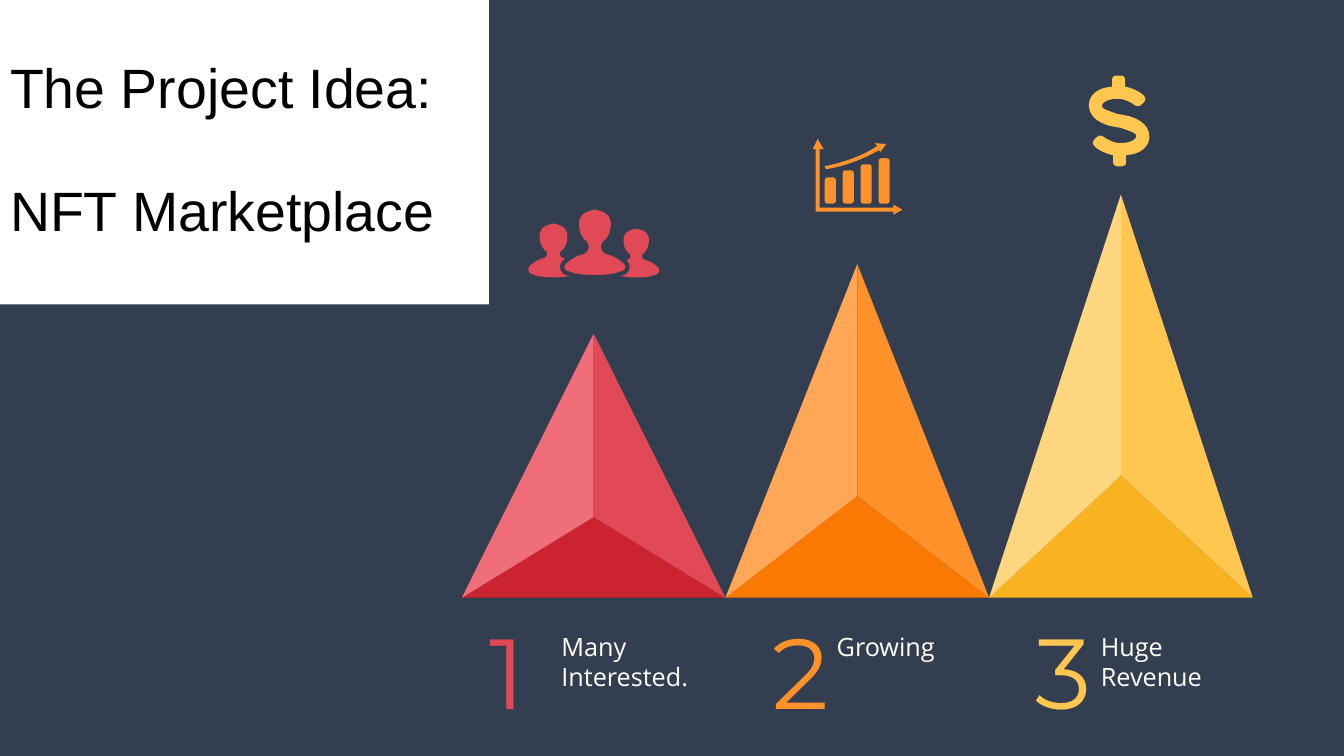
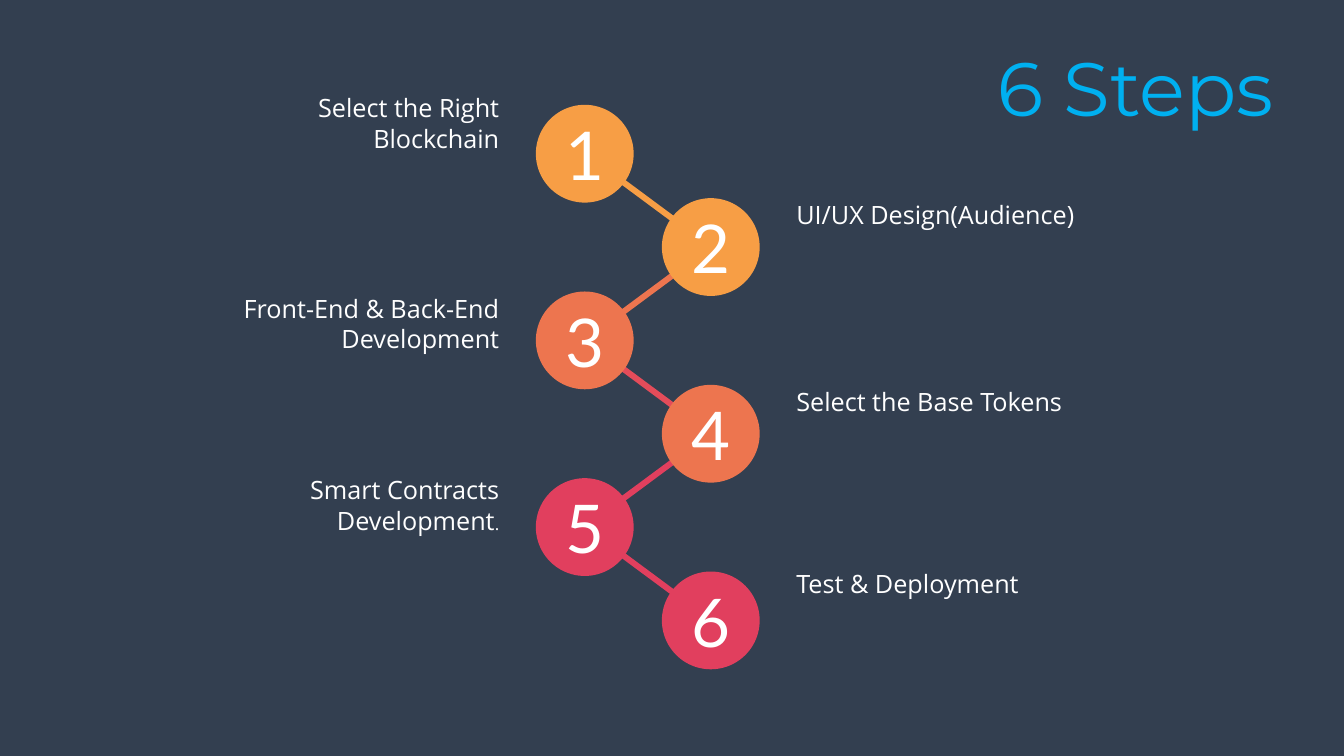
"""Build two slides: the marketplace idea and its six steps."""
from lxml.etree import SubElement
from pptx import Presentation
from pptx.dml.color import RGBColor
from pptx.enum.shapes import MSO_CONNECTOR as CONN, MSO_SHAPE as SHAPE
from pptx.enum.text import MSO_ANCHOR as ANCHOR, MSO_AUTO_SIZE as FIT, PP_ALIGN as ALIGN
from pptx.oxml.ns import qn
from pptx.util import Inches, Pt

COLORS = {
    "back": "333F50", "white": "FFFFFF", "black": "000000", "title": "00B0F0",
    "red": "E24956", "red_light": "F06E7A", "red_dark": "CC2331",
    "orange": "FF912B", "orange_light": "FFA757", "orange_dark": "FA7902",
    "yellow": "FFC74F", "yellow_light": "FFD680", "yellow_dark": "FAB320",
    "amber": "F79E45", "coral": "ED754F", "rose": "E44C5A", "pink": "E13F5E",
}
BODY, DISPLAY, DIGIT = "Open Sans", "Montserrat", "Lato"

PYRAMIDS = [
    ("red", "Many Interested.", 3.31, 5.13, 4.85, 5.47, 1.54),
    ("orange", "Growing", 2.62, 4.92, 7.66, 8.2, 1.33),
    ("yellow", "Huge Revenue", 1.93, 4.72, 10.27, 10.82, 1.33),
]
BASE_LEFT, BASE_Y, BASE_W = 4.58, 5.93, 2.615

STEPS = [
    ([("Select the Right Blockchain", 18)], 0.87, "amber"),
    ([("UI/UX Design(Audience)", 18)], 1.93, "amber"),
    ([("Front-End & Back-End Development", 18)], 2.86, "coral"),
    ([("Select the Base Tokens", 18)], 3.78, "coral"),
    ([("Smart Contracts Development", 18), (".", 12)], 4.66, "pink"),
    ([("Test & Deployment", 18)], 5.59, "pink"),
]
LINKS = ["amber", "coral", "rose", "pink", "pink"]
CIRCLE, STEP_Y, FIRST_Y, CENTERS_X = 0.97, 0.926, 1.525, (5.8, 7.05)

HALF_PERSON = [
    (0, 0), (2, 0, 4, 0, 5, 1), (13, 3, 17, 7, 18, 15), (18, 23, 16, 30, 10, 35),
    (7, 38, 8, 42, 12, 44), (14, 45, 17, 45, 18, 46), (23, 48, 27, 51, 30, 54),
    (33, 56, 34, 62, 28, 65), (26, 65, 24, 66, 22, 67), (16, 68, 9, 69, 0, 69),
]
PEOPLE = [(5.49, 2.22, 0.77), (6.31, 2.27, 0.7), (5.9, 2.06, 1)]
HALF_DOLLAR = [
    (30, 16), (30, 6, 23, -1, 9, -5), (-2, -7), (-13, -11, -17, -12, -17, -15),
    (-17, -18, -12, -22, -1, -22), (7, -22, 15, -16, 15, -16),
    (18, -14, 20, -14, 23, -17), (23, -17, 26, -19, 26, -22),
    (26, -26, 16, -32, 6, -34), (6, -41), (6, -43, 4, -45, 2, -45), (-3, -45),
    (-5, -45, -7, -43, -7, -41), (-7, -34), (-23, -33, -30, -24, -30, -16),
]
TREND = [
    (13, 30), (32, 27, 50, 20, 66, 11), (67, 13), (73, 5), (62, 4), (64, 7),
    (49, 17, 31, 23, 12, 27),
]
AXES = [
    (89, 70), (80, 65), (80, 68), (7, 68), (7, 10), (11, 10), (5, 0), (0, 10),
    (3, 10), (3, 72), (80, 72), (80, 75),
]
CHART_LEFT, CHART_TOP = 8.06, 1.38
BAR_TOPS, BAR_BOTTOM, BAR_W, BAR_STEP = (1.76, 1.69, 1.63, 1.57), 2.02, 0.11, 0.178


def rgb(name):
    return RGBColor.from_string(COLORS[name])


def trace(path, steps=8):
    points = [path[0]]
    for seg in path[1:]:
        if len(seg) == 2:
            points.append(seg)
            continue
        ctrl = [points[-1], seg[:2], seg[2:4], seg[4:]]
        for n in range(1, steps + 1):
            t = n / steps
            weights = ((1 - t) ** 3, 3 * t * (1 - t) ** 2, 3 * t * t * (1 - t), t ** 3)
            points.append(tuple(sum(w * c[k] for w, c in zip(weights, ctrl)) for k in (0, 1)))
    return points


def paint(sp, color):
    sp.shadow.inherit = False
    sp.fill.solid()
    sp.fill.fore_color.rgb = rgb(color)
    sp.line.fill.background()
    return sp


def polygon(s, points, color, left=0, top=0, scale=1):
    pts = [(Inches(left + x * scale), Inches(top + y * scale)) for x, y in points]
    builder = s.shapes.build_freeform(*pts[0], scale=1.0)
    builder.add_line_segments(pts[1:], close=True)
    return paint(builder.convert_to_shape(), color)


def style(p, font, color, align=ALIGN.LEFT):
    p.alignment = align
    for r in p.runs:
        r.font.name = font
        r.font.color.rgb = rgb(color)


def textbox(s, box, runs, font, color, align=ALIGN.LEFT, inset=True):
    tf = s.shapes.add_textbox(*map(Inches, box)).text_frame
    tf.word_wrap = True
    if not inset:
        tf.margin_left = tf.margin_right = tf.margin_top = tf.margin_bottom = 0
    p = tf.paragraphs[0]
    for text, size in runs:
        r = p.add_run()
        r.text = text
        r.font.size = Pt(size)
    style(p, font, color, align)


def add_slide(prs, title, box, font, size, color, align, anchor):
    s = prs.slides.add_slide(prs.slide_layouts[5])
    sp = s.shapes.title
    sp.left, sp.top, sp.width, sp.height = map(Inches, box)
    tf = sp.text_frame
    tf.text = title
    tf.auto_size, tf.vertical_anchor = FIT.NONE, anchor
    for p in tf.paragraphs:
        style(p, font, color, align)
        for r in p.runs:
            r.font.size = Pt(size)
    return s


def idea_slide(prs):
    s = add_slide(prs, "The Project Idea:\nNFT Marketplace", (0, 0, 4.85, 3.02),
                  "Arial", 39.6, "black", ALIGN.LEFT, ANCHOR.MIDDLE)
    paint(s.shapes.title, "white")
    for i, p in enumerate(s.shapes.title.text_frame.paragraphs):
        p.line_spacing = 0.9
        p.space_before = Pt(45 * i)

    for i, (color, label, apex_y, ridge_y, num_x, label_x, label_w) in enumerate(PYRAMIDS):
        left = BASE_LEFT + i * BASE_W
        mid, right = left + BASE_W / 2, left + BASE_W
        apex, ridge = (mid, apex_y), (mid, ridge_y)
        start, end = (left, BASE_Y), (right, BASE_Y)
        polygon(s, [start, ridge, end], color + "_dark")
        polygon(s, [start, apex, ridge], color + "_light")
        polygon(s, [apex, end, ridge], color)
        textbox(s, (num_x, 6.05, 0.68, 1.19), [(str(i + 1), 71)], DISPLAY, color, inset=False)
        textbox(s, (label_x, 6.21, label_w, 0.84), [(label, 18)], BODY, "white")

    half = trace(HALF_PERSON)
    person = half + [(-x, y) for x, y in reversed(half)]
    for x, y, scale in PEOPLE:
        sp = polygon(s, person, "red", x, y, scale / 100)
    sp.line.color.rgb = rgb("back")
    sp.line.width = Pt(3)

    for part in (TREND, AXES):
        polygon(s, trace(part), "orange", CHART_LEFT, CHART_TOP, 0.01)
    for i, top in enumerate(BAR_TOPS):
        box = (CHART_LEFT + 0.12 + i * BAR_STEP, top, BAR_W, BAR_BOTTOM - top)
        bar = s.shapes.add_shape(SHAPE.ROUNDED_RECTANGLE, *map(Inches, box))
        bar.adjustments[0] = 0.25
        paint(bar, "orange")

    half = trace(HALF_DOLLAR)
    polygon(s, half + [(-x, -y) for x, y in half], "yellow", 11.1, 1.2, 0.01)


def steps_slide(prs):
    s = add_slide(prs, "6 Steps", (8.92, 0.36, 3.81, 1.01),
                  DISPLAY, 54, "title", ALIGN.RIGHT, ANCHOR.TOP)
    centers = [(CENTERS_X[i % 2], FIRST_Y + i * STEP_Y) for i in range(len(STEPS))]
    for start, end, color in zip(centers, centers[1:], LINKS):
        link = s.shapes.add_connector(CONN.STRAIGHT, *map(Inches, start + end))
        link.line.color.rgb = rgb(color)
        link.line.width = Pt(4.25)
        SubElement(link._element.spPr, qn("a:effectLst"))

    for i, ((x, y), (runs, label_y, color)) in enumerate(zip(centers, STEPS)):
        box = (x - CIRCLE / 2, y - CIRCLE / 2, CIRCLE, CIRCLE)
        sp = paint(s.shapes.add_shape(SHAPE.OVAL, *map(Inches, box)), color)
        tf = sp.text_frame
        tf.text = str(i + 1)
        tf.margin_top = tf.margin_bottom = 0
        tf.vertical_anchor = ANCHOR.MIDDLE
        style(tf.paragraphs[0], DIGIT, "white", ALIGN.CENTER)
        tf.paragraphs[0].runs[0].font.size = Pt(48)
        if i % 2:
            textbox(s, (7.8, label_y, 3.2, 0.4), runs, BODY, "white")
        else:
            textbox(s, (2.15, label_y, 2.9, 0.71), runs, BODY, "white", ALIGN.RIGHT)


def main():
    prs = Presentation()
    prs.slide_width, prs.slide_height = Inches(13.33), Inches(7.5)
    fill = prs.slide_master.background.fill
    fill.solid()
    fill.fore_color.rgb = rgb("back")
    idea_slide(prs)
    steps_slide(prs)
    prs.save("out.pptx")


if __name__ == "__main__":
    main()
